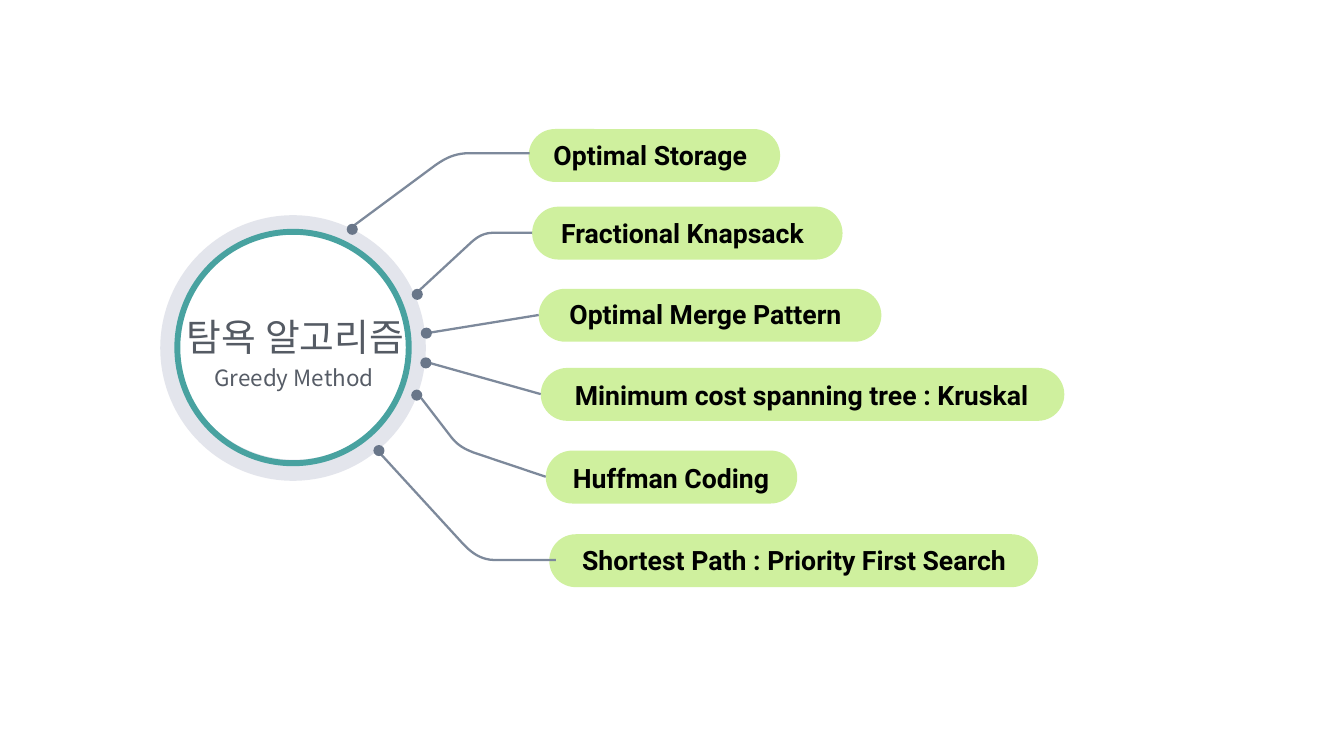
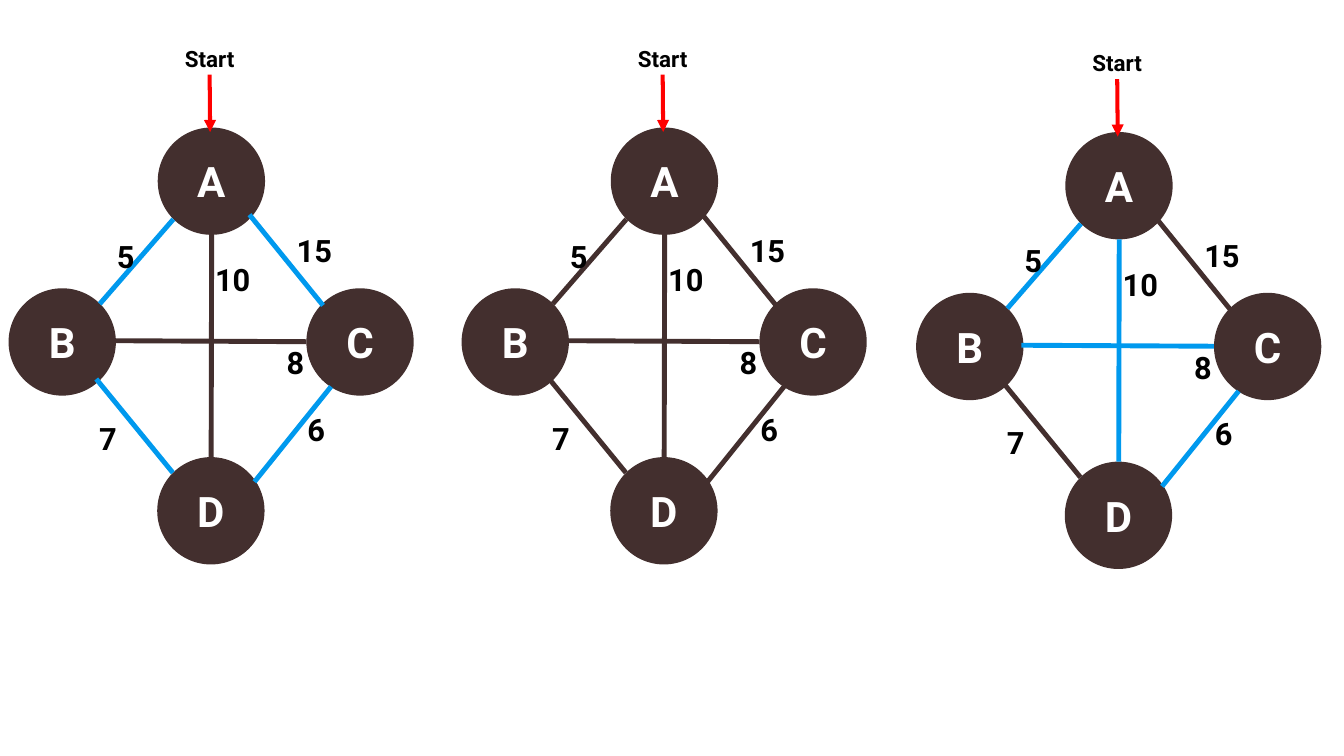
from lxml.etree import SubElement
from pptx import Presentation
from pptx.dml.color import RGBColor
from pptx.enum.shapes import MSO_CONNECTOR, MSO_SHAPE
from pptx.enum.text import MSO_ANCHOR, MSO_AUTO_SIZE, PP_ALIGN
from pptx.oxml.ns import qn
from pptx.util import Inches, Pt

COLORS = {
    "halo": "E3E5EC", "white": "FFFFFF", "teal": "48A2A0", "pill": "CFF09E",
    "dot": "697689", "leader": "7D899B", "title": "555B64", "subtitle": "565C66",
    "black": "000000", "node": "432F2E", "chosen": "0099EE", "start": "FF0000",
}
LATIN, KOREAN = "Roboto", "Noto Sans CJK KR"


def place(slide, kind, box, fill=None, text="", size=38, color="black", font=LATIN,
          align=PP_ALIGN.CENTER, wrap=True, inset=None):
    """Add a filled shape, or a text box when kind is None."""
    area = [Inches(length) for length in box]
    if kind is None:
        item = slide.shapes.add_textbox(*area)
    else:
        item = slide.shapes.add_shape(kind, *area)
        item.shadow.inherit = False
        item.fill.solid()
        item.fill.fore_color.rgb = RGBColor.from_string(COLORS[fill])
        item.line.fill.background()
    if text:
        frame = item.text_frame
        frame.text = text
        frame.word_wrap = wrap
        if kind is None:
            frame.auto_size = MSO_AUTO_SIZE.SHAPE_TO_FIT_TEXT
        if inset:
            frame.margin_left = frame.margin_right = Inches(inset)
            frame.margin_top = frame.margin_bottom = Inches(inset)
        if inset or kind is not None:
            frame.vertical_anchor = MSO_ANCHOR.MIDDLE
        paragraph = frame.paragraphs[0]
        paragraph.alignment = align
        run = paragraph.runs[0]
        run.font.size = Pt(size)
        run.font.bold = font == LATIN
        run.font.color.rgb = RGBColor.from_string(COLORS[color])
        run.font.name = font
        SubElement(run.font._element, qn("a:ea"), typeface=font)
    return item


def link(slide, start, end, color, width, arrow=False):
    """Draw a straight line, with an arrowhead at its end if asked."""
    connector = slide.shapes.add_connector(
        MSO_CONNECTOR.STRAIGHT, *[Inches(length) for length in (*start, *end)])
    connector.line.color.rgb = RGBColor.from_string(COLORS[color])
    connector.line.width = Pt(width)
    properties = connector.element.spPr
    if arrow:
        SubElement(properties.find(qn("a:ln")), qn("a:tailEnd"), type="triangle")
    SubElement(properties, qn("a:effectLst"))


presentation = Presentation()
presentation.slide_width, presentation.slide_height = Inches(26.67), Inches(15)
blank = presentation.slide_layouts[6]

# Slide 1: topic map
topic_map = presentation.slides.add_slide(blank)

# Hub
place(topic_map, MSO_SHAPE.OVAL, (3.18, 4.27, 5.27, 5.27), "halo")
place(topic_map, MSO_SHAPE.OVAL, (3.55, 4.61, 4.57, 4.51), "white")
ring = place(topic_map, MSO_SHAPE.DONUT, (3.46, 4.54, 4.71, 4.71), "teal")
ring.adjustments[0] = 0.025
place(topic_map, None, (3.58, 6.16, 4.57, 1.02), text="탐욕 알고리즘", size=54,
      color="title", font=KOREAN, inset=0.06)
place(topic_map, None, (3.4, 7.16, 4.87, 0.65), text="Greedy Method", size=32,
      color="subtitle", font=KOREAN, inset=0.06)

# Topics: name, pill (left, top, width), label (left, top, width), dot (left, top),
# leader points; a bent leader has start, four Bezier points and end
topics = [
    ("Optimal Storage", (10.49, 2.56, 4.99), (10.75, 2.7, 4.31), (6.88, 4.44),
     [(7.03, 4.47), (8.65, 3.27), (8.8, 3.17), (8.98, 3.05), (9.28, 3.04), (10.51, 3.04)]),
    ("Fractional Knapsack", (10.56, 4.1, 6.16), (10.84, 4.25, 5.41), (8.17, 5.73),
     [(8.29, 5.79), (9.35, 4.81), (9.44, 4.73), (9.56, 4.63), (9.76, 4.62), (10.56, 4.62)]),
    ("Optimal Merge Pattern", (10.69, 5.73, 6.8), (11.06, 5.86, 5.88), (8.35, 6.5),
     [(8.53, 6.6), (10.69, 6.25)]),
    ("Minimum cost spanning tree : Kruskal", (10.73, 7.3, 10.39), (10.51, 7.46, 10.8),
     (8.34, 7.09), [(8.45, 7.18), (10.73, 7.82)]),
    ("Huffman Coding", (10.83, 8.94, 4.99), (11.14, 9.12, 4.35), (8.16, 7.73),
     [(8.36, 7.9), (8.96, 8.68), (9.11, 8.87), (9.28, 8.93), (9.4, 8.98), (10.83, 9.46)]),
    ("Shortest Path : Priority First Search ", (10.9, 10.6, 9.7), (11.17, 10.75, 9.31),
     (7.41, 8.83),
     [(7.52, 8.97), (9.16, 10.76), (9.3, 10.91), (9.49, 11.1), (9.79, 11.11), (11.03, 11.11)]),
]
CURVE_STEPS = 12
for name, pill_box, label_box, dot_corner, route in topics:
    pill = place(topic_map, MSO_SHAPE.ROUNDED_RECTANGLE, (*pill_box, 1.05), "pill")
    pill.adjustments[0] = 0.5
    if len(route) == 2:
        link(topic_map, *route, "leader", 3.25)
    else:
        start, *bend, end = route
        points = []
        for step in range(CURVE_STEPS + 1):
            t = step / CURVE_STEPS
            weights = ((1 - t) ** 3, 3 * t * (1 - t) ** 2, 3 * t ** 2 * (1 - t), t ** 3)
            points.append([Inches(sum(w * point[axis] for w, point in zip(weights, bend)))
                           for axis in (0, 1)])
        points.append([Inches(length) for length in end])
        outline = topic_map.shapes.build_freeform(*[Inches(length) for length in start])
        outline.add_line_segments(points, close=False)
        leader = outline.convert_to_shape()
        leader.shadow.inherit = False
        leader.fill.background()
        leader.line.color.rgb = RGBColor.from_string(COLORS["leader"])
        leader.line.width = Pt(3.25)
    place(topic_map, MSO_SHAPE.OVAL, (*dot_corner, 0.22, 0.22), "dot")
    place(topic_map, None, (*label_box, 0.74), text=name, wrap="Kruskal" in name)

# Slide 2: one weighted graph three times, with different chosen edges
graphs = presentation.slides.add_slide(blank)
nodes = {"A": (3.13, 2.53), "B": (0.17, 5.72), "C": (6.08, 5.72), "D": (3.12, 9.07)}
# Edge: start, end, weight, weight label (left, top, width)
edges = {
    "AB": ((3.44, 4.35), (1.98, 6.03), "5", (2.22, 4.66, 0.35)),
    "BD": ((3.43, 9.38), (1.91, 7.52), "7", (1.87, 8.27, 0.95)),
    "AC": ((6.41, 6.06), (4.95, 4.26), "15", (5.79, 4.55, 0.95)),
    "CD": ((5.05, 9.56), (6.57, 7.67), "6", (6, 8.09, 0.95)),
    "AD": ((4.2, 4.66), (4.19, 9.07), "10", (4.17, 5.13, 0.95)),
    "BC": ((6.08, 6.78), (2.26, 6.76), "8", (5.59, 6.78, 0.95)),
}
# Graph: shift right, shift down, chosen edges
for dx, dy, chosen in [(0, 0, ("AB", "BD", "AC", "CD")),
                       (8.99, 0, ()),
                       (18.01, 0.09, ("AB", "CD", "AD", "BC"))]:
    for letter, (x, y) in nodes.items():
        place(graphs, MSO_SHAPE.OVAL, (x + dx, y + dy, 2.13, 2.13), "node",
              text=letter, size=60, color="white")
    for edge, ((x1, y1), (x2, y2), _, _) in edges.items():
        link(graphs, (x1 + dx, y1 + dy), (x2 + dx, y2 + dy),
             "chosen" if edge in chosen else "node", 7)
    for _, _, weight, (x, y, width) in edges.values():
        place(graphs, None, (x + dx, y + dy, width, 0.84), text=weight, size=44,
              align=PP_ALIGN.LEFT)
    link(graphs, (4.16 + dx, 1.48 + dy), (4.17 + dx, 2.62 + dy), "start", 5.75, arrow=True)
    place(graphs, None, (3.55 + dx, 0.84 + dy, 1.22, 0.64), text="Start", size=32, wrap=False)

presentation.save("out.pptx")
